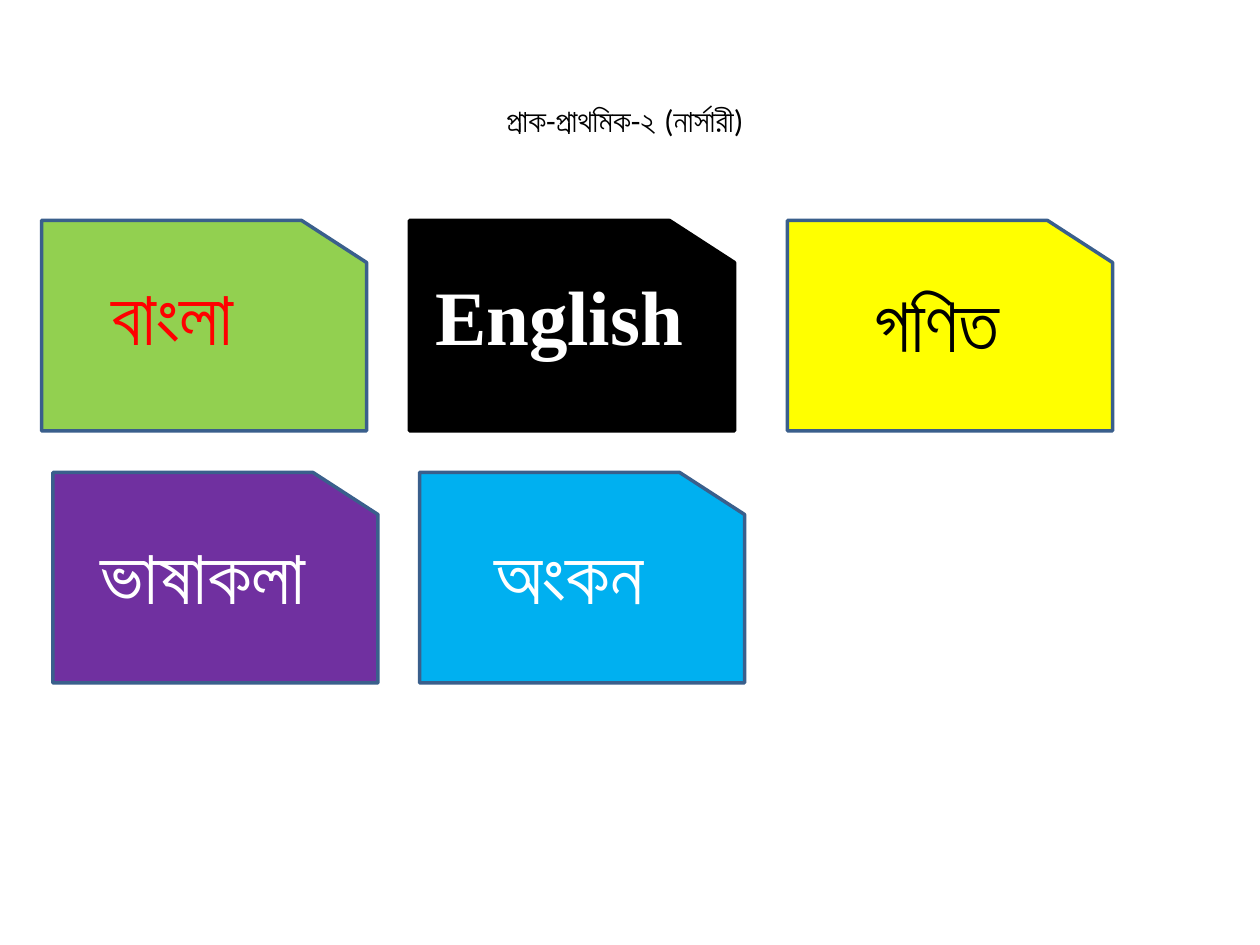
from typing import NamedTuple

from pptx import Presentation
from pptx.dml.color import RGBColor
from pptx.enum.shapes import MSO_SHAPE
from pptx.enum.text import MSO_ANCHOR, MSO_AUTO_SIZE, PP_ALIGN
from pptx.oxml.ns import qn
from pptx.util import Inches, Pt

COLORS = {
    "black": "000000", "white": "FFFFFF", "red": "FF0000", "green": "92D050",
    "yellow": "FFFF00", "purple": "7030A0", "sky": "00B0F0", "border": "3A5F8C",
}
CARD_W, CARD_H = 2.58, 1.67
ROW_TOPS = (1.75, 3.75)


class Insets(NamedTuple):
    left: float
    top: float
    right: float
    bottom: float


LOW = Insets(0.1, 0.1, 0.3, 0.3)


class Card(NamedTuple):
    text: str
    left: float
    row: int
    fill: str
    color: str
    insets: Insets = LOW
    line: str = "border"
    font: str = "Roboto"


CARDS = [
    Card("বাংলা", 0.33, 0, "green", "red", Insets(0.1, 0.05, 0.6, 0.05)),
    Card("English", 3.25, 0, "black", "white", Insets(0.1, 0.05, 0.3, 0.05),
         "black", "Times New Roman"),
    Card("গণিত", 6.25, 0, "yellow", "black"),
    Card("ভাষাকলা", 0.42, 1, "purple", "white"),
    Card("অংকন", 3.33, 1, "sky", "white"),
]


def rgb(name: str) -> RGBColor:
    return RGBColor.from_string(COLORS[name])


def write(tf, text: str, font: str, size: float, color: str, bold: bool = False) -> None:
    tf.word_wrap = True
    p = tf.paragraphs[0]
    p.text = text
    p.alignment = PP_ALIGN.CENTER
    p.font.name, p.font.size, p.font.bold = font, Pt(size), bold
    p.font.color.rgb = rgb(color)


def add_card(s, card: Card) -> None:
    sp = s.shapes.add_shape(
        MSO_SHAPE.FLOWCHART_CARD, Inches(card.left), Inches(ROW_TOPS[card.row]),
        Inches(CARD_W), Inches(CARD_H))
    # Mirror the card so the cut corner is on the right
    sp._element.spPr.find(qn("a:xfrm")).set("flipH", "1")
    sp.shadow.inherit = False
    sp.fill.solid()
    sp.fill.fore_color.rgb = rgb(card.fill)
    sp.line.color.rgb = rgb(card.line)
    sp.line.width = Pt(2)
    tf = sp.text_frame
    tf.vertical_anchor = MSO_ANCHOR.TOP
    tf.margin_left, tf.margin_top, tf.margin_right, tf.margin_bottom = map(Inches, card.insets)
    write(tf, card.text, card.font, 44, card.color, bold=True)


prs = Presentation()
prs.slide_width, prs.slide_height = Inches(10), Inches(7.5)
s = prs.slides.add_slide(prs.slide_layouts[6])

# Class heading
heading = s.shapes.add_textbox(Inches(2), Inches(0.75), Inches(5.92), Inches(0.4))
write(heading.text_frame, "প্রাক-প্রাথমিক-২ (নার্সারী)", "Calibri", 18, "black")
heading.text_frame.auto_size = MSO_AUTO_SIZE.SHAPE_TO_FIT_TEXT

# Subject cards
for card in CARDS:
    add_card(s, card)

prs.save("out.pptx")
